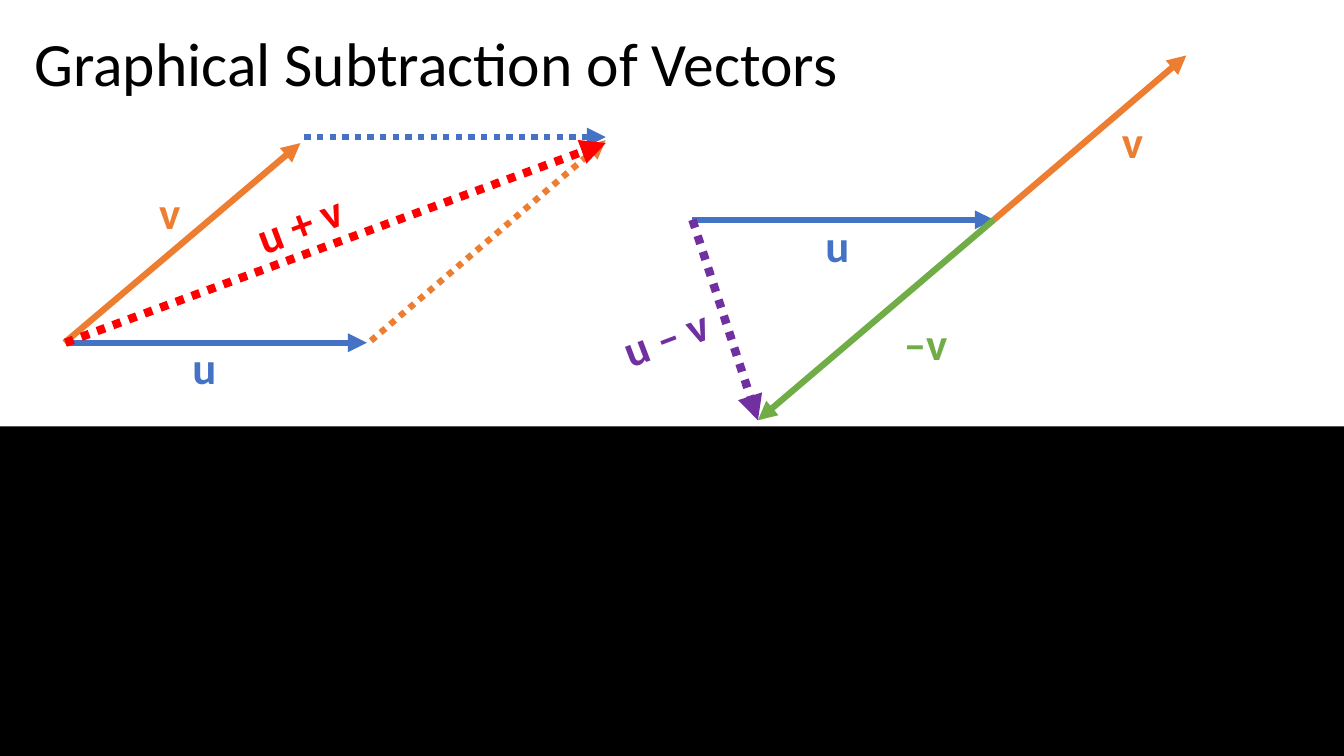
import pptx
import pptx.dml.color
import pptx.enum.dml
import pptx.enum.shapes
import pptx.enum.text
import pptx.oxml
import pptx.oxml.ns
import pptx.util

Pt = pptx.util.Pt
BLUE, ORANGE, RED = "4472C4", "ED7D31", "FF0000"
GREEN, PURPLE, BLACK = "70AD47", "7030A0", "000000"


def paint(color, code):
    """Set a font, fill or line colour from a hex string."""
    color.rgb = pptx.dml.color.RGBColor.from_string(code)


class Board:
    """Holds the text style and the current slide; lengths are in points."""
    font = "Calibri"
    size = 32

    def __init__(self, deck):
        self.slide = deck.slides.add_slide(deck.slide_layouts[5])

    def style(self, para, size, code, bold):
        para.alignment = pptx.enum.text.PP_ALIGN.LEFT
        for run in para.runs:
            run.font.name = self.font
            run.font.size = Pt(size)
            run.font.bold = bold
            paint(run.font.color, code)

    def title(self, text, left, top, width, height):
        box = self.slide.shapes.title
        box.left, box.top = Pt(left), Pt(top)
        box.width, box.height = Pt(width), Pt(height)
        frame = box.text_frame
        frame.text = text
        frame.auto_size = pptx.enum.text.MSO_AUTO_SIZE.NONE
        frame.vertical_anchor = pptx.enum.text.MSO_ANCHOR.MIDDLE
        frame.paragraphs[0].line_spacing = 0.9
        self.style(frame.paragraphs[0], 44, BLACK, False)

    def arrow(self, start, end, code, weight=4.5, dotted=False):
        kind = pptx.enum.shapes.MSO_CONNECTOR.STRAIGHT
        line = self.slide.shapes.add_connector(
            kind, *(Pt(value) for value in start + end))
        paint(line.line.color, code)
        line.line.width = Pt(weight)
        if dotted:
            line.line.dash_style = pptx.enum.dml.MSO_LINE.ROUND_DOT
        head = pptx.oxml.parse_xml(
            f'<a:tailEnd {pptx.oxml.ns.nsdecls("a")} type="triangle"/>')
        line.line._get_or_add_ln().append(head)
        line._element.spPr.append(pptx.oxml.parse_xml(
            f'<a:effectLst {pptx.oxml.ns.nsdecls("a")}/>'))

    def label(self, text, left, top, width, height, code, turn=0):
        box = self.slide.shapes.add_textbox(
            Pt(left), Pt(top), Pt(width), Pt(height))
        box.rotation = turn
        frame = box.text_frame
        frame.text = text
        frame.word_wrap = turn != 0
        frame.auto_size = pptx.enum.text.MSO_AUTO_SIZE.SHAPE_TO_FIT_TEXT
        self.style(frame.paragraphs[0], self.size, code, True)

    def block(self, left, top, width, height, code):
        kind = pptx.enum.shapes.MSO_SHAPE.RECTANGLE
        rect = self.slide.shapes.add_shape(
            kind, Pt(left), Pt(top), Pt(width), Pt(height))
        rect.shadow.inherit = False
        rect.fill.solid()
        paint(rect.fill.fore_color, code)
        rect.line.fill.background()


def main():
    deck = pptx.Presentation()
    deck.slide_width, deck.slide_height = Pt(960), Pt(540)
    board = Board(deck)
    board.title("Graphical Subtraction of Vectors", 17.3, -4.3, 828, 104.4)

    # Sum: parallelogram with its diagonal
    base, peak = (46.8, 244.8), (432.7, 102.2)
    board.arrow(base, (262.1, 244.8), BLUE)
    board.arrow((46.1, 244.8), (214.6, 102.2), ORANGE)
    board.label("u", 130.3, 239, 38.9, 55.4, BLUE)
    board.arrow((217.4, 97.9), (432.7, 97.9), BLUE, dotted=True)
    board.arrow((265, 243.4), (432.7, 100.1), ORANGE, dotted=True)
    board.arrow(base, peak, RED, 6, True)
    board.label("u + v", 176.4, 133.2, 93.6, 55.4, RED, 339.3)

    # Difference: u followed by the reversed v
    root, tip, low = (494.6, 157), (709.9, 157), (541.4, 300.2)
    board.arrow(tip, (847.4, 39.6), ORANGE)
    board.arrow(root, tip, BLUE)
    board.label("v", 794.2, 77.8, 29.5, 46.1, ORANGE)
    board.label("u", 582.5, 151.9, 38.9, 55.4, BLUE)
    board.arrow(tip, low, GREEN)
    board.label("–v", 638.6, 221.8, 60.5, 46.1, GREEN)
    board.arrow(root, low, PURPLE, 6, True)
    board.label("u – v", 436.3, 214.6, 93.6, 46.1, PURPLE, 339.2)

    board.label("v", 106.6, 128.2, 29.5, 46.1, ORANGE)
    board.block(0, 304.6, 960, 235.4, BLACK)
    deck.save("out.pptx")


if __name__ == "__main__":
    main()
